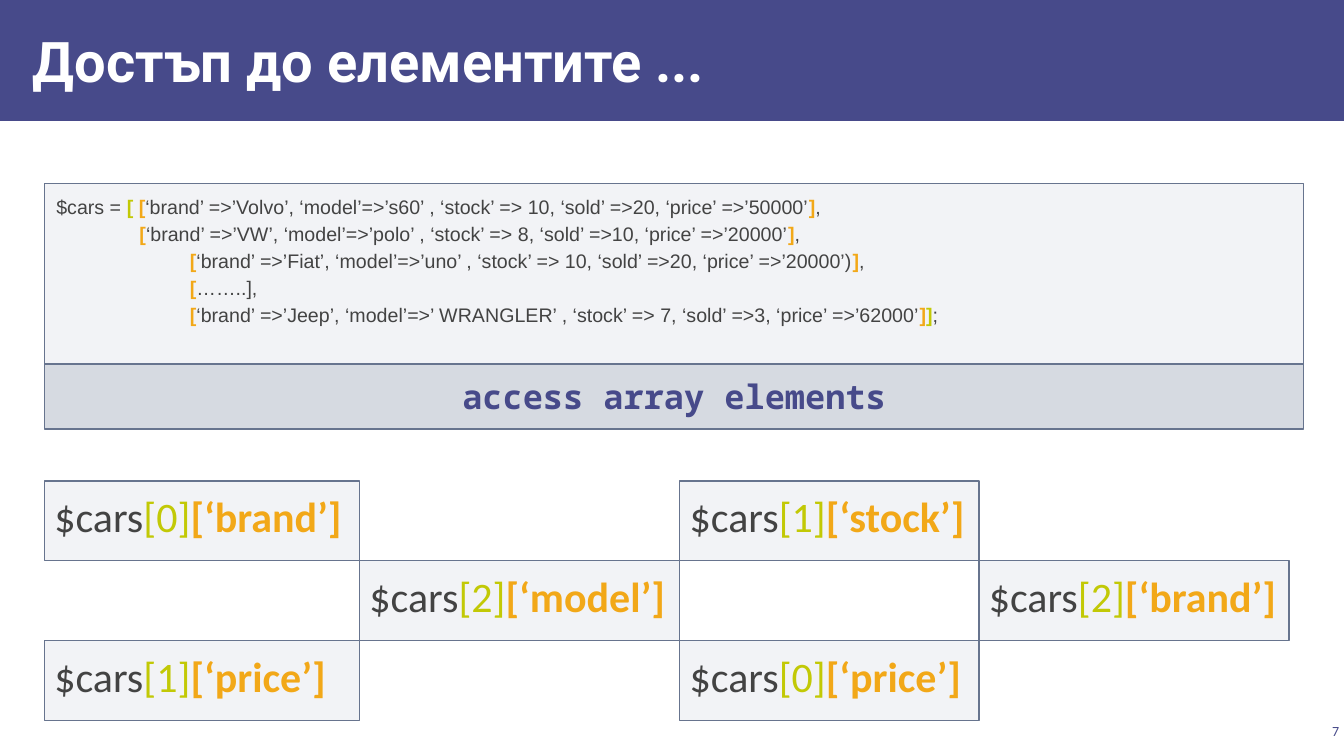
from dataclasses import dataclass
from lxml.etree import SubElement
from pptx import Presentation
from pptx.dml.color import RGBColor as RGB
from pptx.enum.shapes import MSO_SHAPE as Shape
from pptx.enum.text import MSO_ANCHOR as Anchor, MSO_AUTO_SIZE as Fit, PP_ALIGN as Align
from pptx.oxml.ns import qn
from pptx.util import Cm, Pt

TITLE = "Достъп до елементите ..."
CAPTION = "access array elements"
NUMBER = "7"
CODE = [
    [("$cars = ", "text"), ("[ ", "outer"), ("[", "inner"),
     ("‘brand’ =>’Volvo’, ‘model’=>’s60’ , ‘stock’ => 10, ‘sold’ =>20, ‘price’ =>’50000’", "text"),
     ("]", "inner"), (",", "text")],
    [("      ", "text"), ("[", "inner"),
     ("‘brand’ =>’VW’, ‘model’=>’polo’ , ‘stock’ => 8, ‘sold’ =>10, ‘price’ =>’20000’", "text"),
     ("]", "inner"), (",", "text")],
    [("\t      ", "text"), ("[", "inner"),
     ("‘brand’ =>’Fiat’, ‘model’=>’uno’ , ‘stock’ => 10, ‘sold’ =>20, ‘price’ =>’20000’)", "text"),
     ("]", "inner"), (",", "text")],
    [("\t      ", "text"), ("[", "inner"), ("……..],", "text")],
    [("\t      ", "text"), ("[", "inner"),
     ("‘brand’ =>’Jeep’, ‘model’=>’ WRANGLER’ , ‘stock’ => 7, ‘sold’ =>3, ‘price’ =>’62000’", "text"),
     ("]", "inner"), ("]", "outer"), (";", "text")],
]
INDENTED_LINE = 1
ACCESSES = [
    (0, 0, "[0]", "[‘brand’]"),
    (2, 0, "[1]", "[‘stock’]"),
    (1, 1, "[2]", "[‘model’]"),
    (3, 1, "[2]", "[‘brand’]"),
    (0, 2, "[1]", "[‘price’]"),
    (2, 2, "[0]", "[‘price’]"),
]


@dataclass(frozen=True)
class Theme:
    accent: RGB = RGB(0x47, 0x4A, 0x8A)
    white: RGB = RGB(0xFF, 0xFF, 0xFF)
    panel: RGB = RGB(0xAC, 0xB4, 0xC3)
    border: RGB = RGB(0x67, 0x74, 0x8E)
    text: RGB = RGB(0x43, 0x43, 0x43)
    outer: RGB = RGB(0xC2, 0xC9, 0x06)
    inner: RGB = RGB(0xF2, 0xA8, 0x18)
    title_size: int = 40
    access_size: int = 30
    caption_size: int = 24
    code_size: int = 14
    number_size: int = 10


THEME = Theme()
COLORS = {"text": THEME.text, "outer": THEME.outer, "inner": THEME.inner}
LEFT, WIDTH = 1.12, 31.73
CODE_TOP, CODE_HEIGHT, CAPTION_HEIGHT = 4.62, 4.55, 1.64
CODE_INDENT, CODE_TAB = 1.27, 2.54
COLUMNS = [LEFT, 9.06, 17.13, 24.67, 32.49]
GRID_TOP, ROW_HEIGHT = 12.12, 2.01


def set_frame(tf, side, end, anchor=Anchor.TOP):
    tf.word_wrap = True
    tf.auto_size = Fit.NONE
    tf.vertical_anchor = anchor
    tf.margin_left = tf.margin_right = Cm(side)
    tf.margin_top = tf.margin_bottom = Cm(end)


def set_font(p, name, size, color=None, bold=None):
    p.font.name, p.font.size, p.font.bold = name, Pt(size), bold
    if color is not None:
        p.font.color.rgb = color


def add_runs(p, runs, bold_kinds):
    for text, kind in runs:
        r = p.add_run()
        r.text = text
        r.font.color.rgb = COLORS[kind]
        r.font.bold = kind in bold_kinds


def add_panel(s, x, y, w, h, alpha, side, end):
    sp = s.shapes.add_shape(Shape.RECTANGLE, Cm(x), Cm(y), Cm(w), Cm(h))
    sp.shadow.inherit = False
    sp.fill.solid()
    sp.fill.fore_color.rgb = THEME.panel
    color = sp.element.spPr.find(qn("a:solidFill"))[0]
    SubElement(color, qn("a:alpha"), val=str(alpha * 1000))
    sp.line.color.rgb = THEME.border
    sp.line.width = Pt(1)
    set_frame(sp.text_frame, side, end)
    sp.text_frame.paragraphs[0].alignment = Align.LEFT
    return sp.text_frame


def add_header(s, width):
    title = s.shapes.title
    band = s.shapes.add_shape(Shape.RECTANGLE, 0, 0, width, Cm(3.05))
    band.shadow.inherit = False
    band.fill.solid()
    band.fill.fore_color.rgb = THEME.accent
    band.line.fill.background()
    title.element.addprevious(band.element)
    title.left, title.top, title.width, title.height = Cm(0.53), Cm(0.28), Cm(26.42), Cm(2.46)
    title.text = TITLE
    set_frame(title.text_frame, 0.3, 0.1, Anchor.MIDDLE)
    p = title.text_frame.paragraphs[0]
    p.alignment = Align.LEFT
    set_font(p, "Roboto", THEME.title_size, THEME.white, True)


def add_number(s):
    tf = s.shapes.add_textbox(Cm(32.66), Cm(18.14), Cm(1.19), Cm(0.56)).text_frame
    set_frame(tf, 0.1, 0.1, Anchor.MIDDLE)
    p = tf.paragraphs[0]
    p.text = NUMBER
    p.alignment = Align.RIGHT
    set_font(p, "Calibri", THEME.number_size, THEME.accent)


def add_code(s):
    tf = add_panel(s, LEFT, CODE_TOP, WIDTH, CODE_HEIGHT, 15, 0.3, 0.2)
    for i, runs in enumerate(CODE):
        p = tf.add_paragraph() if i else tf.paragraphs[0]
        p.alignment = Align.LEFT
        p.line_spacing = 1.15
        props = p._p.get_or_add_pPr()
        if i == INDENTED_LINE:
            props.set("indent", str(Cm(CODE_INDENT)))
        tabs = SubElement(props, qn("a:tabLst"))
        SubElement(tabs, qn("a:tab"), pos=str(Cm(CODE_TAB)), algn="l")
        set_font(p, "Arial", THEME.code_size)
        add_runs(p, runs, ("outer", "inner"))


def add_caption(s):
    tf = add_panel(s, LEFT, CODE_TOP + CODE_HEIGHT, WIDTH, CAPTION_HEIGHT, 49, 0.3, 0.3)
    p = tf.paragraphs[0]
    p.text = CAPTION
    p.alignment = Align.CENTER
    set_font(p, "Noto Sans Mono", THEME.caption_size, THEME.accent, True)


def add_accesses(s):
    for col, row, index, key in ACCESSES:
        x = COLUMNS[col]
        tf = add_panel(s, x, GRID_TOP + row * ROW_HEIGHT, COLUMNS[col + 1] - x, ROW_HEIGHT, 15, 0.25, 0.25)
        p = tf.paragraphs[0]
        set_font(p, "Calibri", THEME.access_size)
        add_runs(p, [("$cars", "text"), (index, "outer"), (key, "inner")], ("inner",))


def main():
    """Build the slide on accessing array elements."""
    prs = Presentation()
    prs.slide_width, prs.slide_height = Cm(33.87), Cm(19.05)
    s = prs.slides.add_slide(prs.slide_layouts[5])
    add_header(s, prs.slide_width)
    add_number(s)
    add_code(s)
    add_caption(s)
    add_accesses(s)
    prs.save("out.pptx")


if __name__ == "__main__":
    main()
